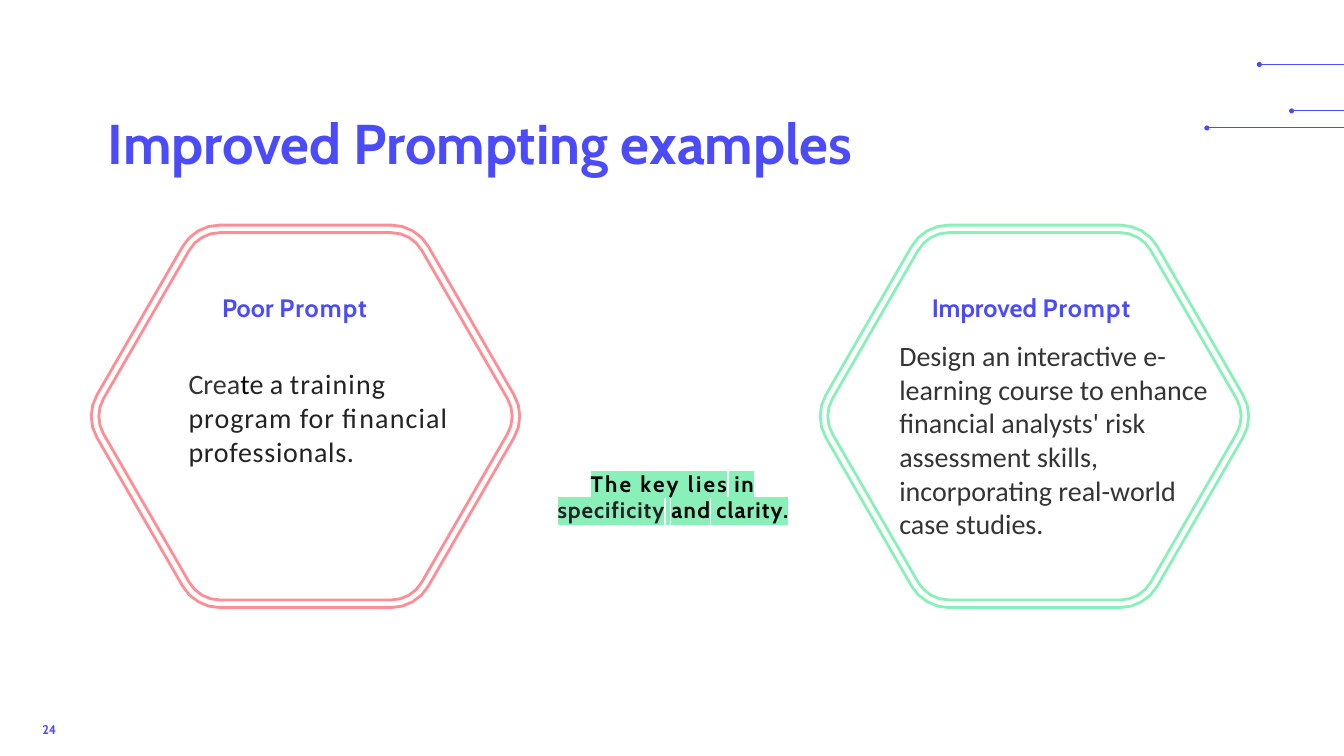
from math import cos, radians, sin

from lxml import etree
from pptx import Presentation
from pptx import util as u
from pptx.dml.color import RGBColor
from pptx.enum import shapes, text
from pptx.oxml.ns import qn

WIDE, HIGH = 13.33, 7.5
BLUE, CORAL, MINT = "4B4BF9", "FF8D95", "8AF0BA"
INK, GREY, DARK = "080808", "232323", "343434"
LEFT, MID = text.PP_ALIGN.LEFT, text.PP_ALIGN.CENTER


def paint(item, tone):
    """Set a fill, line or font to a solid hex colour."""
    if hasattr(item, "solid"):
        item.solid()
        item.fore_color.rgb = RGBColor.from_string(tone)
    else:
        item.color.rgb = RGBColor.from_string(tone)


def write(frame, runs, size, face="Cabin", bold=True, align=LEFT,
          inset=(0.01, 0.02), mark=None, pitch=1.0):
    """Fill a text frame with runs of (words, colour, spacing in points)."""
    frame.word_wrap = True
    frame.auto_size = text.MSO_AUTO_SIZE.NONE
    frame.vertical_anchor = text.MSO_ANCHOR.TOP
    frame.margin_left, frame.margin_right = u.Inches(inset[0]), u.Inches(inset[0])
    frame.margin_top = frame.margin_bottom = u.Inches(inset[1])
    para = frame.paragraphs[0]
    para.alignment, para.line_spacing = align, pitch
    for words, tone, space in runs:
        run = para.add_run()
        run.text = words
        run.font.size, run.font.bold = u.Pt(size), bold
        paint(run.font, tone)
        props = run._r.get_or_add_rPr()
        if space:
            props.set("spc", str(round(space * 100)))
        if mark:
            glow = etree.Element(qn("a:highlight"))
            etree.SubElement(glow, qn("a:srgbClr"), val=mark)
            props.find(qn("a:solidFill")).addnext(glow)
        run.font.name = face


def label(slide, box, runs, size, **style):
    """Add a text box at a box given in inches."""
    spot = slide.shapes.add_textbox(*map(u.Inches, box))
    write(spot.text_frame, runs, size, **style)


def ring(mid, side, curve):
    """List the points of a regular hexagon with corners of radius curve."""
    points = []
    for corner in range(0, 360, 60):
        for turn in range(-30, 31, 15):
            hub, arc = radians(corner), radians(corner + turn)
            points.append((1000 * (mid[0] + side * cos(hub) + curve * cos(arc)),
                           1000 * (mid[1] + side * sin(hub) + curve * sin(arc))))
    return points


def frame(slide, mid, tone):
    """Outline two nested hexagons as one shape."""
    outer, inner = ring(mid, 1.7, 0.425), ring(mid, 1.7, 0.35)
    build = slide.shapes.build_freeform(*outer[0], scale=u.Inches(1) / 1000)
    build.add_line_segments(outer[1:], close=True)
    build.move_to(*inner[0])
    build.add_line_segments(inner[1:], close=True)
    shape = build.convert_to_shape()
    shape.shadow.inherit = False
    shape.fill.background()
    paint(shape.line.fill, tone)
    shape.line.width = u.Pt(2)


def panel(slide, box, tone, head, body):
    """Draw a double hexagon with a heading and its prompt."""
    left, top, wide, high = box
    frame(slide, (left + wide / 2, top + high / 2), tone)
    (shift, span), runs = head
    label(slide, (left + shift, top + 0.63, span, 0.4), runs, 18,
          align=MID, inset=(0.1, 0.05))
    (shift, drop, span, tall), runs = body
    label(slide, (left + shift, top + drop, span, tall), runs, 20,
          face="Calibri", bold=False)


def wires(slide, ends):
    """Run thin lines from dots to the right edge."""
    size = 0.05
    for x, y in ends:
        wire = slide.shapes.add_connector(
            shapes.MSO_CONNECTOR.STRAIGHT, *map(u.Inches, (x, y, WIDE, y)))
        etree.SubElement(wire._element.spPr, qn("a:effectLst"))
        paint(wire.line.fill, BLUE)
        wire.line.width = u.Pt(0.75)
        dot = slide.shapes.add_shape(
            shapes.MSO_SHAPE.OVAL,
            *map(u.Inches, (x - size / 2, y - size / 2, size, size)))
        dot.shadow.inherit = False
        paint(dot.fill, BLUE)
        dot.line.fill.background()


def title(slide, box, words):
    """Place the slide title."""
    head = slide.shapes.title
    head.left, head.top, head.width, head.height = map(u.Inches, box)
    write(head.text_frame, [(words, BLUE, 0)], 40, inset=(0.1, 0.05))


def main():
    """Build the slide and save it."""
    deck = Presentation()
    deck.slide_width, deck.slide_height = u.Inches(WIDE), u.Inches(HIGH)
    slide = deck.slides.add_slide(deck.slide_layouts[5])
    title(slide, (0.97, 1.03, 12.08, 0.77), "Improved Prompting examples")
    wires(slide, [(12.49, 0.64), (12.81, 1.1), (11.97, 1.27)])

    poor = [("Crea", DARK, 0), ("t", INK, 0), ("e a ", GREY, 0),
            ("training ", GREY, 0.8), ("program ", GREY, 0.7),
            ("for ", GREY, 0.6), ("financial ", GREY, 0.8),
            ("professionals.", GREY, 0.5)]
    better = [("Design an interactive e-learning course to enhance financial "
               "analysts' risk assessment skills, incorporating real-world "
               "case studies.", DARK, 0)]
    sides = [
        (0.89, CORAL, "Poor ", (0.76, 2.61), (0.97, 1.4, 2.91, 1.03), poor),
        (8.12, MINT, "Improved ", (0.87, 2.54), (0.79, 1.12, 3.23, 2.04), better),
    ]
    for left, tone, kind, span, place, runs in sides:
        head = [(kind, BLUE, 0), ("Prompt ", BLUE, 0.8)]
        panel(slide, (left, 2.22, 4.28, 3.82), tone, (span, head), (place, runs))

    key = [("The key lies", INK, 1.6), (" ", INK, -1.5), ("in", INK, 1.2),
           (" ", INK, -1.6), ("specificity", GREY, 0.7), (" ", GREY, 0.5),
           ("and", INK, 0.9), (" ", INK, -1.4), ("clarity.", INK, 0.8)]
    label(slide, (5.4, 4.64, 2.55, 0.56), key, 16, align=MID, mark=MINT)
    label(slide, (0.37, 7.13, 0.4, 0.24), [("24", BLUE, 0)], 9,
          inset=(0.05, 0.05), pitch=0.9)
    deck.save("out.pptx")


if __name__ == "__main__":
    main()
